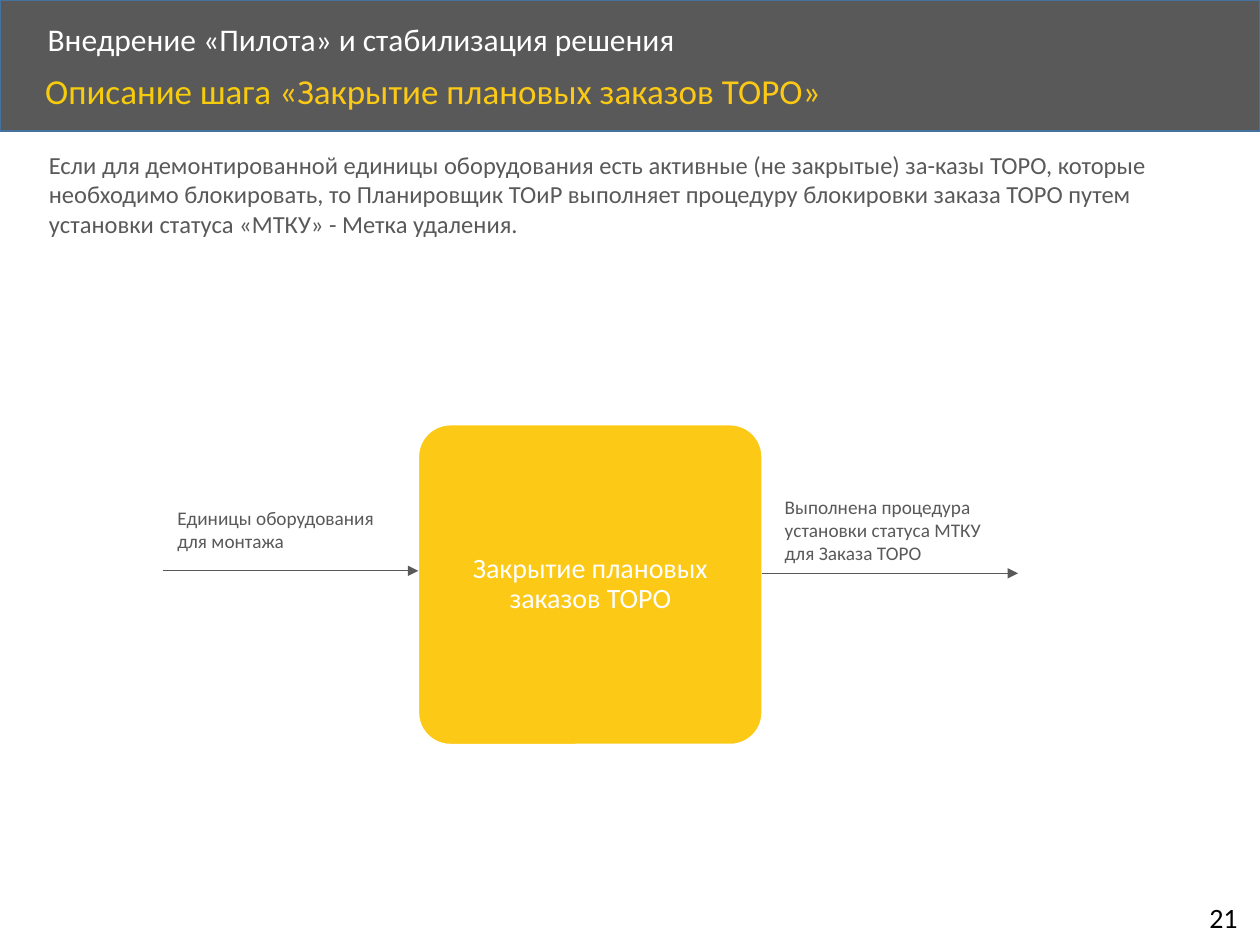
from pptx import Presentation
from pptx import util as u
from pptx.dml.color import RGBColor
from pptx.enum import shapes, text
from pptx.oxml.ns import qn
from lxml import etree

COLORS = {"dark": "595959", "edge": "43739E", "white": "FFFFFF", "black": "000000",
          "gold": "F6CC0C", "yellow": "FCC917"}
FONT = "Calibri"
COLS, ROWS = 100, 75
CELL = u.Inches(0.1)


def rgb(name):
    return RGBColor.from_string(COLORS[name])


def grid(*cells):
    """Turn columns and rows of the slide grid into lengths."""
    return [u.Emu(round(c * CELL)) for c in cells]


def within(box, x, y, w, h):
    """Shift a part into its region's box."""
    return box[0] + x, box[1] + y, w, h


def add_text(slide, box, runs, size, anchor=text.MSO_ANCHOR.TOP,
             align=text.PP_ALIGN.LEFT, spacing=None, inset=None, wrap=True):
    """Add one paragraph; runs are (wording, colour name) pairs."""
    tf = slide.shapes.add_textbox(*grid(*box)).text_frame
    tf.word_wrap = wrap
    tf.vertical_anchor = anchor
    if inset is not None:
        tf.margin_left = tf.margin_right = tf.margin_top = tf.margin_bottom = u.Inches(inset)
    p = tf.paragraphs[0]
    p.alignment = align
    p.line_spacing = spacing
    for wording, color in runs:
        r = p.add_run()
        r.text = wording
        r.font.name, r.font.size = FONT, u.Pt(size)
        r.font.color.rgb = rgb(color)


def add_panel(slide, kind, box, fill, line):
    s = slide.shapes.add_shape(kind, *grid(*box))
    s.shadow.inherit = False
    s.fill.solid()
    s.fill.fore_color.rgb = rgb(fill)
    s.line.color.rgb = rgb(line)
    s.line.width = u.Pt(1)
    return s


def add_arrow(slide, x, y, length):
    c = slide.shapes.add_connector(shapes.MSO_CONNECTOR.STRAIGHT, *grid(x, y, x + length, y))
    c.line.color.rgb = rgb("dark")
    c.line.width = u.Pt(0.5)
    etree.SubElement(c.line._get_or_add_ln(), qn("a:tailEnd"), type="triangle")
    etree.SubElement(c._element.spPr, qn("a:effectLst"))


def add_header(slide, box):
    add_panel(slide, shapes.MSO_SHAPE.RECTANGLE, box, "dark", "edge")
    add_text(slide, within(box, 2.8, 1.4, 80.7, 3.8),
             [("Внедрение «Пилота» и стабилизация решения", "white")],
             18, anchor=text.MSO_ANCHOR.MIDDLE, spacing=0.9)
    add_text(slide, within(box, 2.6, 5.4, 89.3, 4.5),
             [("Описание шага ", "gold"), ("«Закрытие плановых заказов ТОРО»", "yellow")],
             20, spacing=0.9)


def add_step(slide, box):
    """Draw the process step with its input on the left and output on the right."""
    x, y, w, h = box
    s = add_panel(slide, shapes.MSO_SHAPE.ROUNDED_RECTANGLE, box, "yellow", "white")
    s.adjustments[0] = 0.1
    pad = 0.7
    add_text(slide, (x + pad, y + pad, w - 2 * pad, h - 2 * pad),
             [("Закрытие плановых заказов ТОРО", "white")], 16,
             anchor=text.MSO_ANCHOR.MIDDLE, align=text.PP_ALIGN.CENTER,
             spacing=0.9, inset=0.01)

    length = 20.3
    flows = [(-length, 11.6, -20.1, 6, 4.7, "Единицы оборудования для монтажа"),
             (w, 11.8, w + 0.8, 5.1, 6.6,
              "Выполнена процедура установки статуса МТКУ для Заказа ТОРО")]
    for arrow_x, arrow_y, label_x, label_y, label_h, label in flows:
        add_arrow(slide, x + arrow_x, y + arrow_y, length)
        add_text(slide, within(box, label_x, label_y, 20, label_h), [(label, "dark")], 11)


def add_description(slide, box):
    add_text(slide, box, [(
        "Если для демонтированной единицы оборудования есть активные (не закрытые) "
        "за-казы ТОРО, которые необходимо блокировать, то Планировщик ТОиР выполняет "
        "процедуру блокировки заказа ТОРО путем установки статуса «МТКУ» - Метка удаления.",
        "dark")], 14)


def add_page_number(slide, box):
    add_text(slide, box, [("21", "black")], 16, wrap=False)


def main():
    prs = Presentation()
    prs.slide_width, prs.slide_height = grid(COLS, ROWS)
    slide = prs.slides.add_slide(prs.slide_layouts[6])
    add_header(slide, (0, 0, COLS, 10.4))
    add_page_number(slide, (95, 71, 4.6, 3.7))
    add_step(slide, (33.2, 33.7, 27.3, 25.4))
    add_description(slide, (2.9, 11.4, 94.6, 8.1))
    prs.save("out.pptx")


if __name__ == "__main__":
    main()
